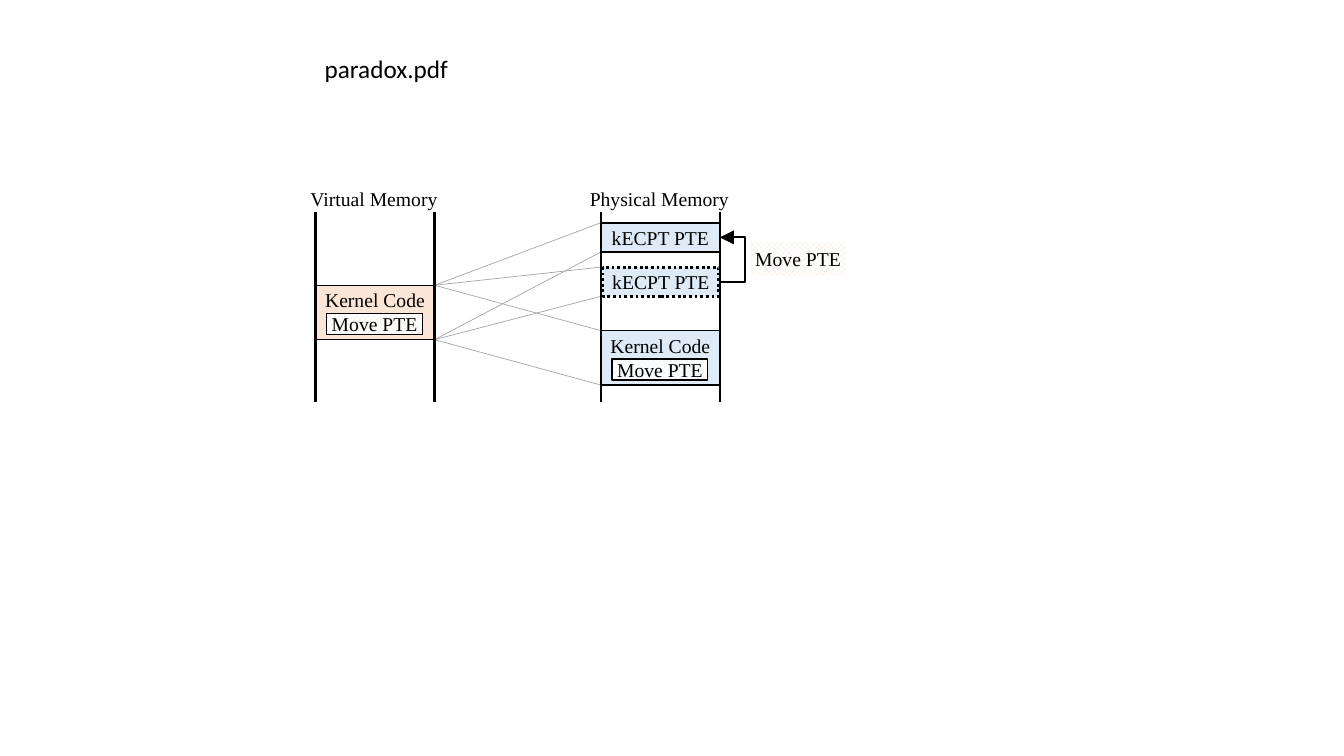
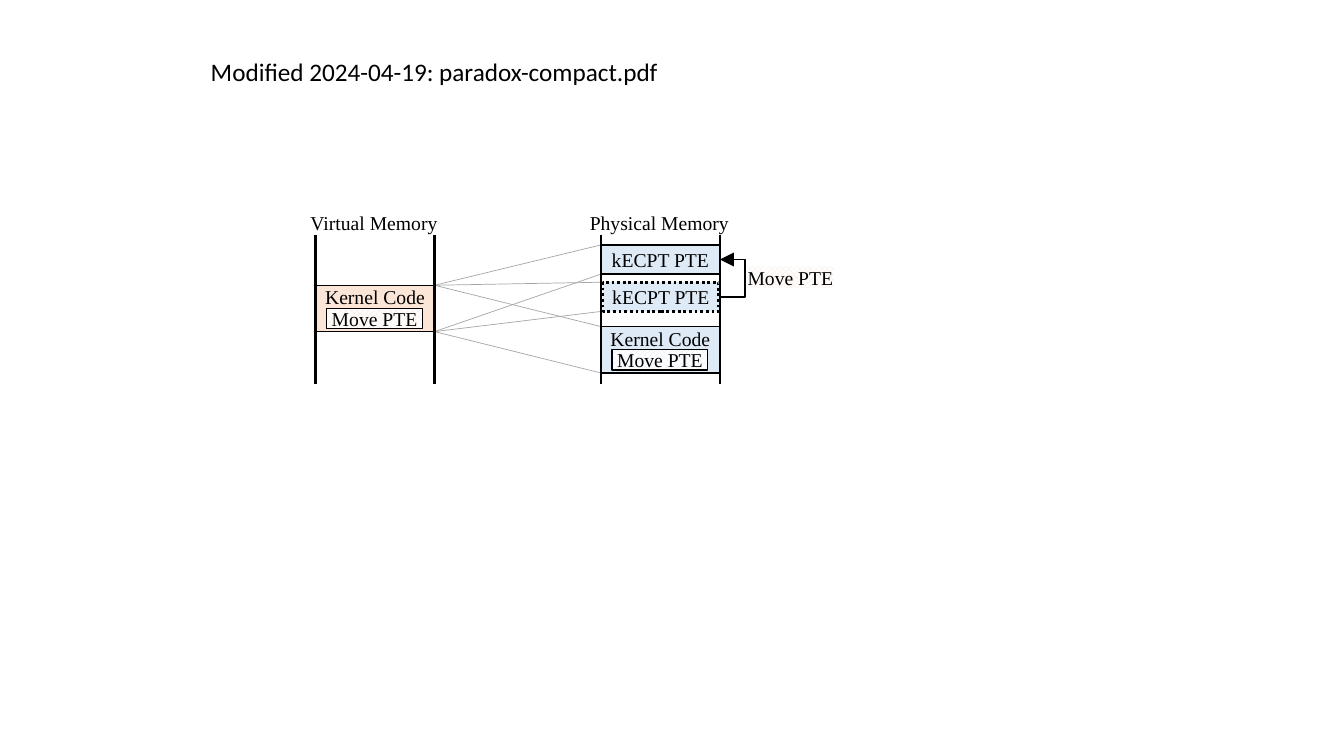
"""Build two slides on moving a kernel page table entry between physical frames."""
from lxml import etree
from pptx import Presentation
from pptx.dml.color import RGBColor
from pptx.enum import dml, shapes, text
from pptx.oxml import ns
from pptx.util import Inches, Pt

BLACK, GRAY, BLUE, ORANGE, WHITE = "000000", "A6A6A6", "DEEBF7", "FBE5D6", "FFFFFF"
SERIF, SANS = "Times New Roman", "Calibri"
VIRTUAL_X, PHYSICAL_X, MEMORY_W = 3.13, 5.96, 1.18
VIRTUAL_Y, PTE_H, ARROW_X = 2.83, 0.29, 7.39

VERSIONS = [
    dict(title="paradox.pdf", title_at=(3.12, 0.48, 1.44, 0.4), heading_y=1.85,
         wall=(2.1, 3.99), code_h=0.54, code_top=0.03, physical_y=3.28,
         new_pte_y=2.21, old_pte_y=2.65, step=(0.28, 0.21),
         move_at=(7.44, 2.4, 0.95, 0.33)),
    dict(title="Modified 2024-04-19: paradox-compact.pdf",
         title_at=(1.99, 0.51, 4.69, 0.4), heading_y=2.08,
         wall=(2.33, 3.81), code_h=0.46, code_top=0, physical_y=3.24,
         new_pte_y=2.43, old_pte_y=2.8, step=(0.23, 0.2),
         move_at=(7.41, 2.64, 0.86, 0.22)),
]


def add_box(slide, words, at, fill=None, checked=False, line_w=0, top=None):
    """Add a rectangle with one centred line, set in the middle or from a top inset."""
    box = slide.shapes.add_shape(shapes.MSO_SHAPE.RECTANGLE, *map(Inches, at))
    box.shadow.inherit = False
    if checked:
        box.fill.patterned()
        box.fill.pattern = dml.MSO_PATTERN.LARGE_CHECKER_BOARD
        box.fill.fore_color.rgb = RGBColor.from_string(fill)
        box.fill.back_color.rgb = RGBColor.from_string(WHITE)
    elif fill:
        box.fill.solid()
        box.fill.fore_color.rgb = RGBColor.from_string(fill)
    else:
        box.fill.background()
    if line_w:
        box.line.color.rgb = RGBColor.from_string(BLACK)
        box.line.width = Pt(line_w)
    else:
        box.line.fill.background()
    frame = box.text_frame
    frame.word_wrap = True
    frame.margin_left = frame.margin_right = frame.margin_bottom = 0
    frame.margin_top = Inches(top or 0)
    frame.vertical_anchor = text.MSO_ANCHOR.MIDDLE if top is None else text.MSO_ANCHOR.TOP
    paragraph = frame.paragraphs[0]
    paragraph.alignment = text.PP_ALIGN.CENTER
    run = paragraph.add_run()
    run.text = words
    run.font.name, run.font.size = SERIF, Pt(14)
    run.font.color.rgb = RGBColor.from_string(BLACK)
    return box


def add_line(slide, start, end, color, width, kind=shapes.MSO_CONNECTOR.STRAIGHT):
    """Add a connector without a shadow."""
    line = slide.shapes.add_connector(kind, *map(Inches, (*start, *end)))
    line.line.color.rgb = RGBColor.from_string(color)
    line.line.width = Pt(width)
    etree.SubElement(line._element.spPr, ns.qn("a:effectLst"))
    return line


prs = Presentation()
prs.slide_width, prs.slide_height = Inches(13.33), Inches(7.5)

for version in VERSIONS:
    slide = prs.slides.add_slide(prs.slide_layouts[5])
    code_h = version["code_h"]

    title = slide.shapes.title
    title.left, title.top, title.width, title.height = map(Inches, version["title_at"])
    title_frame = title.text_frame
    title_frame.word_wrap = False
    title_frame.auto_size = text.MSO_AUTO_SIZE.SHAPE_TO_FIT_TEXT
    title_frame.vertical_anchor = text.MSO_ANCHOR.TOP
    title_frame.paragraphs[0].alignment = text.PP_ALIGN.LEFT
    title_run = title_frame.paragraphs[0].add_run()
    title_run.text = version["title"]
    title_run.font.name, title_run.font.size = SANS, Pt(18)
    title_run.font.color.rgb = RGBColor.from_string(BLACK)

    mapping_x = VIRTUAL_X + MEMORY_W
    targets = [(version["physical_y"], code_h),
               (version["new_pte_y"], PTE_H), (version["old_pte_y"], PTE_H)]
    for target_y, target_h in targets:
        for source_part, target_part in ((0, 0), (code_h, target_h)):
            add_line(slide, (mapping_x, VIRTUAL_Y + source_part),
                     (PHYSICAL_X, target_y + target_part), GRAY, 0.5)

    add_box(slide, "kECPT PTE", (PHYSICAL_X, version["new_pte_y"], MEMORY_W, PTE_H),
            BLUE, line_w=1.5)
    old_pte = add_box(slide, "kECPT PTE",
                      (PHYSICAL_X + 0.02, version["old_pte_y"], MEMORY_W - 0.03, PTE_H),
                      BLUE, line_w=2)
    old_pte.line.dash_style = dml.MSO_LINE.ROUND_DOT

    add_box(slide, "Move PTE", version["move_at"], ORANGE, checked=True)

    step_y, step_h = version["step"]
    wall_top, wall_bottom = version["wall"]
    memories = [("Virtual Memory", VIRTUAL_X, VIRTUAL_Y, ORANGE),
                ("Physical Memory", PHYSICAL_X, version["physical_y"], BLUE)]
    for heading, memory_x, code_y, color in memories:
        add_box(slide, heading, (memory_x - 0.24, version["heading_y"], 1.64, 0.25))
        add_box(slide, "Kernel Code", (memory_x, code_y, MEMORY_W, code_h), color,
                line_w=1, top=version["code_top"])
        add_box(slide, "Move PTE", (memory_x + 0.11, code_y + step_y, 0.95, step_h),
                color, checked=True, line_w=1)
        for wall_x in (memory_x, memory_x + MEMORY_W):
            add_line(slide, (wall_x, wall_top), (wall_x, wall_bottom), BLACK, 1.75)

    arrow_start, arrow_end = PHYSICAL_X + MEMORY_W - 0.01, PHYSICAL_X + MEMORY_W
    move = add_line(slide, (arrow_start, version["old_pte_y"] + PTE_H / 2),
                    (arrow_end, version["new_pte_y"] + PTE_H / 2),
                    BLACK, 1.25, shapes.MSO_CONNECTOR.ELBOW)
    bend = round((ARROW_X - arrow_start) / (arrow_end - arrow_start) * 100000)
    guides = move._element.spPr.find(".//" + ns.qn("a:avLst"))
    etree.SubElement(guides, ns.qn("a:gd"), name="adj1", fmla=f"val {bend}")
    etree.SubElement(move.line._get_or_add_ln(), ns.qn("a:tailEnd"),
                     type="triangle", w="lg", len="lg")

prs.save("out.pptx")
